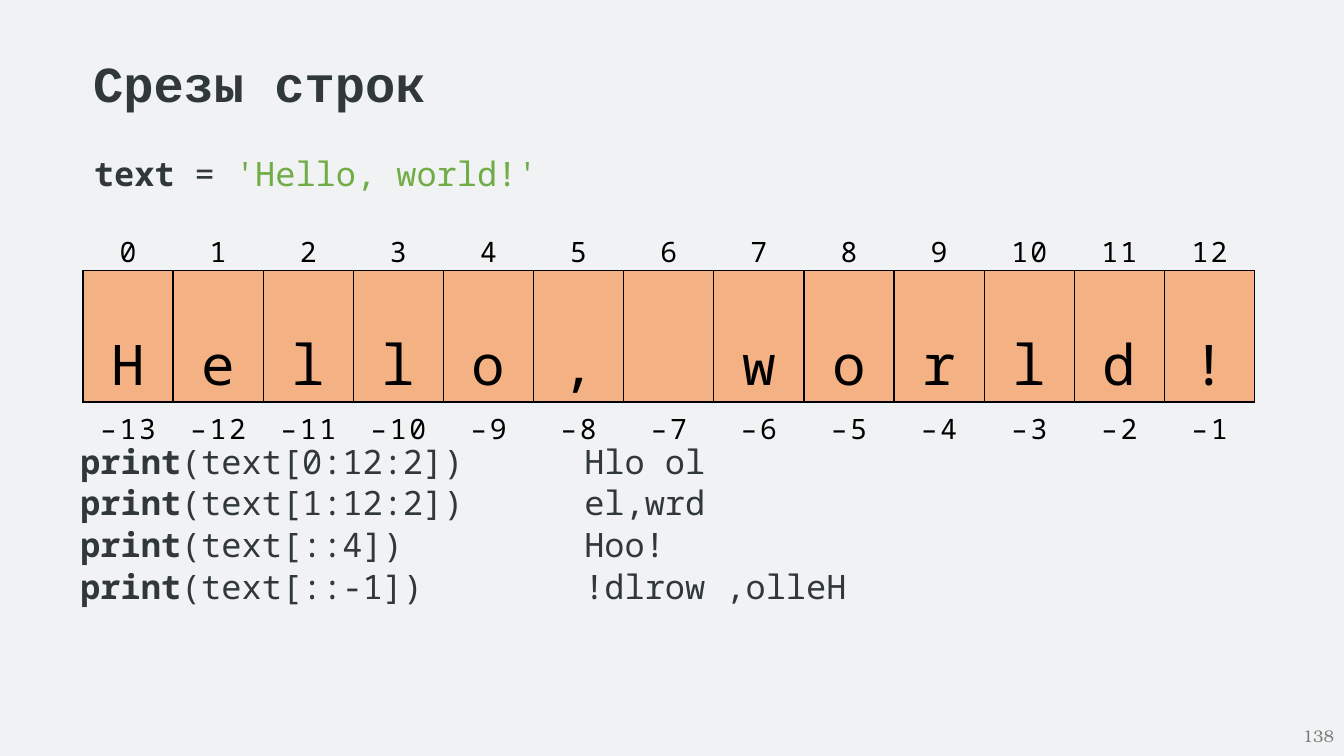
from pptx import Presentation
from pptx.dml.color import RGBColor
from pptx.enum.text import MSO_ANCHOR, PP_ALIGN
from pptx.oxml import parse_xml
from pptx.oxml.ns import nsdecls, qn
from pptx.util import Pt

PX = 9525  # EMU per px, 96 px to the inch
MONO = "Noto Sans Mono"
INK, GREEN, BLACK = "303938", "70AD47", "000000"
PLAIN_TABLE = "{2D5ABB26-0587-4C30-8999-92F81FD0307C}"

WORD = "Hello, world!"
SLICES = [
    ("(text[0:12:2])", "Hlo ol"),
    ("(text[1:12:2])", "el,wrd"),
    ("(text[::4])", "Hoo!"),
    ("(text[::-1])", "!dlrow ,olleH"),
]


def px(length):
    return length * PX


def rgb(color):
    return RGBColor.from_string(color)


def style(font, size, color, name=MONO, bold=False):
    font.size, font.name, font.bold = Pt(size), name, bold
    font.color.rgb = rgb(color)


def add_title(slide, text):
    title = slide.shapes.title
    title.left, title.top, title.width, title.height = map(px, (79, 44, 340, 68))
    frame = title.text_frame
    frame.text = text
    frame.word_wrap = False
    frame.vertical_anchor = MSO_ANCHOR.MIDDLE
    frame.paragraphs[0].alignment = PP_ALIGN.LEFT
    style(frame.paragraphs[0].runs[0].font, 36, INK, "Courier New", True)


def add_text_frame(slide, left, top, width, height):
    frame = slide.shapes.add_textbox(*map(px, (left, top, width, height))).text_frame
    frame.word_wrap = True
    return frame


def add_code(slide, left, top, height, lines, tab=None):
    """Each line is a list of (text, color, bold) pieces."""
    frame = add_text_frame(slide, left, top, 1146, height)
    for number, pieces in enumerate(lines):
        line = frame.add_paragraph() if number else frame.paragraphs[0]
        if tab:
            line._p.get_or_add_pPr().append(parse_xml(
                f'<a:tabLst {nsdecls("a")}><a:tab pos="{px(tab)}" algn="l"/></a:tabLst>'))
        line.alignment = PP_ALIGN.JUSTIFY
        if number:
            line.space_before = Pt(0.9)
        for text, color, bold in pieces:
            run = line.add_run()
            run.text = text
            style(run.font, 24, color, bold=bold)


def add_borders(cell):
    properties = cell._tc.get_or_add_tcPr()
    for position, side in enumerate("LRTB"):
        properties.insert(position, parse_xml(
            f'<a:ln{side} {nsdecls("a")} w="{Pt(1)}"><a:solidFill>'
            f'<a:srgbClr val="{BLACK}"/></a:solidFill></a:ln{side}>'))


def fill_cell(cell, text, size, top_margin=0, line_spacing=None, space_before=None, tracking=0):
    cell.margin_left = cell.margin_right = cell.margin_bottom = 0
    cell.margin_top = px(top_margin)
    cell.fill.background()
    cell.text = text
    paragraph = cell.text_frame.paragraphs[0]
    paragraph.alignment = PP_ALIGN.CENTER
    if line_spacing:
        paragraph.line_spacing = Pt(line_spacing)
    if space_before:
        paragraph.space_before = Pt(space_before)
    for run in paragraph.runs:
        style(run.font, size, BLACK)
        if tracking:
            run.font._element.set("spc", str(tracking))


def add_index_table(slide, word):
    count = len(word)
    frame = slide.shapes.add_table(3, count, px(79), px(212), px(1116), px(174))
    table = frame.table
    table.first_row = table.horz_banding = False
    table._tbl.tblPr.find(qn("a:tableStyleId")).text = PLAIN_TABLE
    for row, height in zip(table.rows, (40, 98, 36)):
        row.height = px(height)
    for index, letter in enumerate(word):
        table.columns[index].width = px(1116) // count
        # Index from the start, letter, index from the end
        fill_cell(table.cell(0, index), str(index), 20, line_spacing=34.1,
                  tracking=160 if index > 9 else 0)
        letter_cell = table.cell(1, index)
        fill_cell(letter_cell, letter.strip(), 40, line_spacing=94)
        letter_cell.fill.solid()
        letter_cell.fill.fore_color.rgb = rgb("F4B183")
        add_borders(letter_cell)
        fill_cell(table.cell(2, index), f"–{count - index}", 20, top_margin=7,
                  space_before=5.2, tracking=190)


def add_page_number(slide, number):
    frame = add_text_frame(slide, 992, 682, 288, 38)
    frame.text = number
    frame.vertical_anchor = MSO_ANCHOR.MIDDLE
    frame.paragraphs[0].alignment = PP_ALIGN.RIGHT
    style(frame.paragraphs[0].runs[0].font, 12, "797979", "TeX Gyre Bonum")


def main():
    deck = Presentation()
    deck.slide_width, deck.slide_height = px(1280), px(720)
    slide = deck.slides.add_slide(deck.slide_layouts[5])
    slide.background.fill.solid()
    slide.background.fill.fore_color.rgb = rgb("F1F2F3")

    add_title(slide, "Срезы строк")
    # Assignment, indexed letters, then slices with their results
    add_code(slide, 80, 141, 48, [[("text ", INK, True), ("= ", INK, False),
                                   (f"'{WORD}'", GREEN, False)]])
    add_code(slide, 67, 415, 289,
             [[("print", INK, True), (f"{call}\t{result}", INK, False)]
              for call, result in SLICES], tab=480)
    add_index_table(slide, WORD)
    add_page_number(slide, "138")
    deck.save("out.pptx")


if __name__ == "__main__":
    main()
